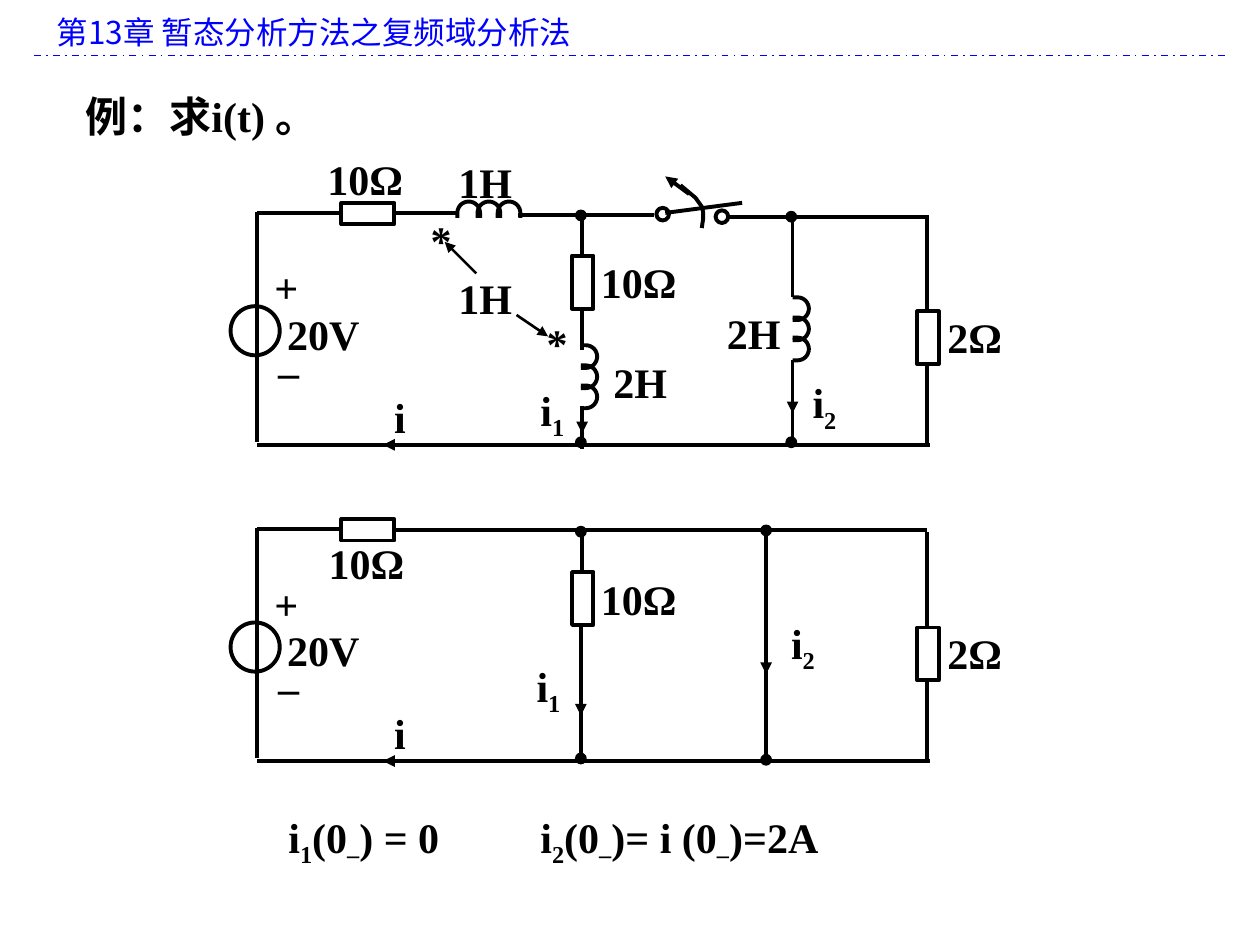
from dataclasses import dataclass
from math import cos, pi, sin

from lxml.etree import SubElement
from pptx import Presentation
from pptx.dml.color import RGBColor
from pptx.enum.dml import MSO_LINE_DASH_STYLE as Dash
from pptx.enum.shapes import MSO_CONNECTOR as Connector
from pptx.enum.shapes import MSO_SHAPE as Shape
from pptx.enum.text import MSO_ANCHOR as Anchor
from pptx.enum.text import PP_ALIGN as Align
from pptx.oxml.ns import qn
from pptx.util import Inches, Pt


@dataclass(frozen=True)
class Theme:
    ink: RGBColor = RGBColor(0, 0, 0)
    blue: RGBColor = RGBColor(0, 0, 255)
    title_font: str = "Noto Sans CJK SC"
    body_font: str = "Times New Roman"
    title_size: Pt = Pt(18)
    body_size: Pt = Pt(24)
    wire: Pt = Pt(2.25)
    pointer: Pt = Pt(1.5)
    thin: Pt = Pt(1)


theme = Theme()


def draw_line(page, ends, width=theme.wire, color=theme.ink, arrow=False, dash=None):
    line = page.shapes.add_connector(Connector.STRAIGHT, *map(Inches, ends))
    line.line.color.rgb = color
    line.line.width = width
    if dash:
        line.line.dash_style = dash
    if arrow:
        SubElement(line.line._get_or_add_ln(), qn("a:tailEnd"), type="triangle")
    SubElement(line._element.spPr, qn("a:effectLst"))


def draw_text(page, left, top, width, marked):
    box = page.shapes.add_textbox(*map(Inches, (left, top, width, 0.5)))
    box.text_frame.word_wrap = width > 0.5
    para = box.text_frame.paragraphs[0]
    for index, piece in enumerate(marked.split("_")):
        span = para.add_run()
        span.text = piece
        span.font.name = theme.body_font
        span.font.size = theme.body_size
        span.font.bold = True
        span.font.color.rgb = theme.ink
        if index % 2:
            span._r.get_or_add_rPr().set("baseline", "-25000")


deck = Presentation()
deck.slide_width, deck.slide_height = Inches(10), Inches(7.5)
page = deck.slides.add_slide(deck.slide_layouts[5])

title = page.shapes.title
title.left, title.top = Inches(0.35), Inches(0.05)
title.width, title.height = Inches(9.37), Inches(0.4)
title.text_frame.text = "第13章 暂态分析方法之复频域分析法"
title.text_frame.vertical_anchor = Anchor.MIDDLE
heading = title.text_frame.paragraphs[0]
heading.alignment = Align.LEFT
for span in heading.runs:
    span.font.name = theme.title_font
    span.font.size = theme.title_size
    span.font.color.rgb = theme.blue
    SubElement(span._r.get_or_add_rPr(), qn("a:ea"), typeface=theme.title_font)
draw_line(page, (0.27, 0.44, 9.72, 0.44), theme.thin, theme.blue, dash=Dash.DASH_DOT)

wires = [
    (3.12, 1.69, 3.62, 1.69), (4.11, 1.71, 5.19, 1.71), (5.78, 1.72, 7.36, 1.72),
    (4.62, 2.44, 4.62, 2.78), (4.62, 3.22, 4.62, 3.56),
    (6.29, 1.69, 6.29, 2.36), (6.29, 2.86, 6.29, 3.53), (5.28, 1.69, 5.89, 1.61),
    (3.11, 4.21, 7.36, 4.21), (6.08, 4.19, 6.08, 6.03), (4.61, 4.96, 4.61, 6.04),
]
current_arrows = [
    (5.47, 1.54, 5.28, 1.4), (4.62, 3.28, 4.62, 3.44), (6.29, 3.03, 6.29, 3.28),
    (6.08, 4.93, 6.08, 5.35), (4.61, 5.26, 4.61, 5.68),
]
coupling_arrows = [(3.78, 2.17, 3.53, 1.92), (4.1, 2.5, 4.35, 2.67)]
outlines = [
    (Shape.OVAL, 5.21, 1.65, 0.1, 0.1),
    (Shape.OVAL, 5.68, 1.67, 0.1, 0.1),
]
nodes = [(6.24, 1.68), (6.24, 3.47), (6.04, 4.17), (6.04, 5.99)]
labels = [
    (0.58, 0.67, 3.85, "例：求i(t) 。"),
    (3.32, 1.65, 0.37, "*"), (4.24, 2.47, 0.37, "*"),
    (3.54, 1.19, 1.1, "1H"), (3.54, 2.11, 1.1, "1H"),
    (4.77, 2.78, 1.1, "2H"), (5.67, 2.39, 1.1, "2H"),
    (2.5, 1.17, 1.08, "10Ω"), (2.51, 4.22, 1.08, "10Ω"),
    (4.19, 3, 0.68, "i_1"), (6.35, 2.94, 0.68, "i_2"),
    (4.16, 5.19, 0.68, "i_1"), (6.18, 4.85, 0.68, "i_2"),
    (2.19, 6.39, 2.75, "i_1_(0_–_) = 0"),
    (4.19, 6.39, 2.75, "i_2_(0_–_)= i (0_–_)=2A"),
]

for drop in (0, 2.51):
    wires += [(x1, y1 + drop, x2, y2 + drop) for x1, y1, x2, y2 in (
        (2.04, 1.69, 2.71, 1.69), (2.04, 1.68, 2.04, 3.51), (2.04, 3.53, 7.38, 3.53),
        (4.62, 1.69, 4.62, 2.03), (7.36, 1.71, 7.36, 2.46), (7.36, 2.88, 7.36, 3.54))]
    current_arrows.append((3.29, 3.53 + drop, 3.04, 3.53 + drop))
    outlines += [(kind, x, y + drop, width, height) for kind, x, y, width, height in (
        (Shape.RECTANGLE, 2.71, 1.61, 0.42, 0.17),
        (Shape.RECTANGLE, 4.54, 2.03, 0.17, 0.42),
        (Shape.RECTANGLE, 7.28, 2.47, 0.17, 0.42),
        (Shape.OVAL, 1.83, 2.43, 0.39, 0.39))]
    nodes += [(4.57, 1.67 + drop), (4.57, 3.47 + drop)]
    labels += [(x, y + drop, width, text) for x, y, width, text in (
        (2.11, 2.69, 0.37, "–"), (2.08, 2.03, 0.39, "+"), (2.18, 2.4, 1.1, "20V"),
        (4.67, 1.99, 1.08, "10Ω"), (7.42, 2.42, 1.08, "2Ω"), (3.03, 3.06, 0.68, "i"))]

for ends in wires:
    draw_line(page, ends)
for ends in current_arrows:
    draw_line(page, ends, arrow=True)
for ends in coupling_arrows:
    draw_line(page, ends, theme.pointer, arrow=True)

curves = [[(5.4, 1.47), (5.46, 1.52), (5.52, 1.57), (5.57, 1.64),
           (5.58, 1.68), (5.58, 1.74), (5.57, 1.81)]]
radius, pitch, steps = 0.09, 0.16, 16
turn = [(0, 0)]
turn += [(radius - radius * cos(pi * step / steps), 0.04 + radius * sin(pi * step / steps))
         for step in range(steps + 1)]
turn.append((2 * radius, 0))
for x, y, upright in ((3.63, 1.73, False), (4.61, 2.74, True), (6.29, 2.36, True)):
    for loop in range(3):
        start = loop * pitch
        curves.append([(x + out, y + start + along) if upright else (x + start + along, y - out)
                       for along, out in turn])

for points in curves:
    first, *rest = [(Inches(x), Inches(y)) for x, y in points]
    builder = page.shapes.build_freeform(*first)
    builder.add_line_segments(rest, close=False)
    curve = builder.convert_to_shape()
    curve.shadow.inherit = False
    curve.fill.background()
    curve.line.color.rgb = theme.ink
    curve.line.width = theme.wire

for kind, *place in outlines:
    part = page.shapes.add_shape(kind, *map(Inches, place))
    part.shadow.inherit = False
    part.fill.background()
    part.line.color.rgb = theme.ink
    part.line.width = theme.wire

for x, y in nodes:
    node = page.shapes.add_shape(Shape.OVAL, *map(Inches, (x, y, 0.08, 0.08)))
    node.shadow.inherit = False
    node.fill.solid()
    node.fill.fore_color.rgb = theme.ink
    node.line.color.rgb = theme.ink
    node.line.width = theme.thin

for label in labels:
    draw_text(page, *label)

deck.save("out.pptx")
